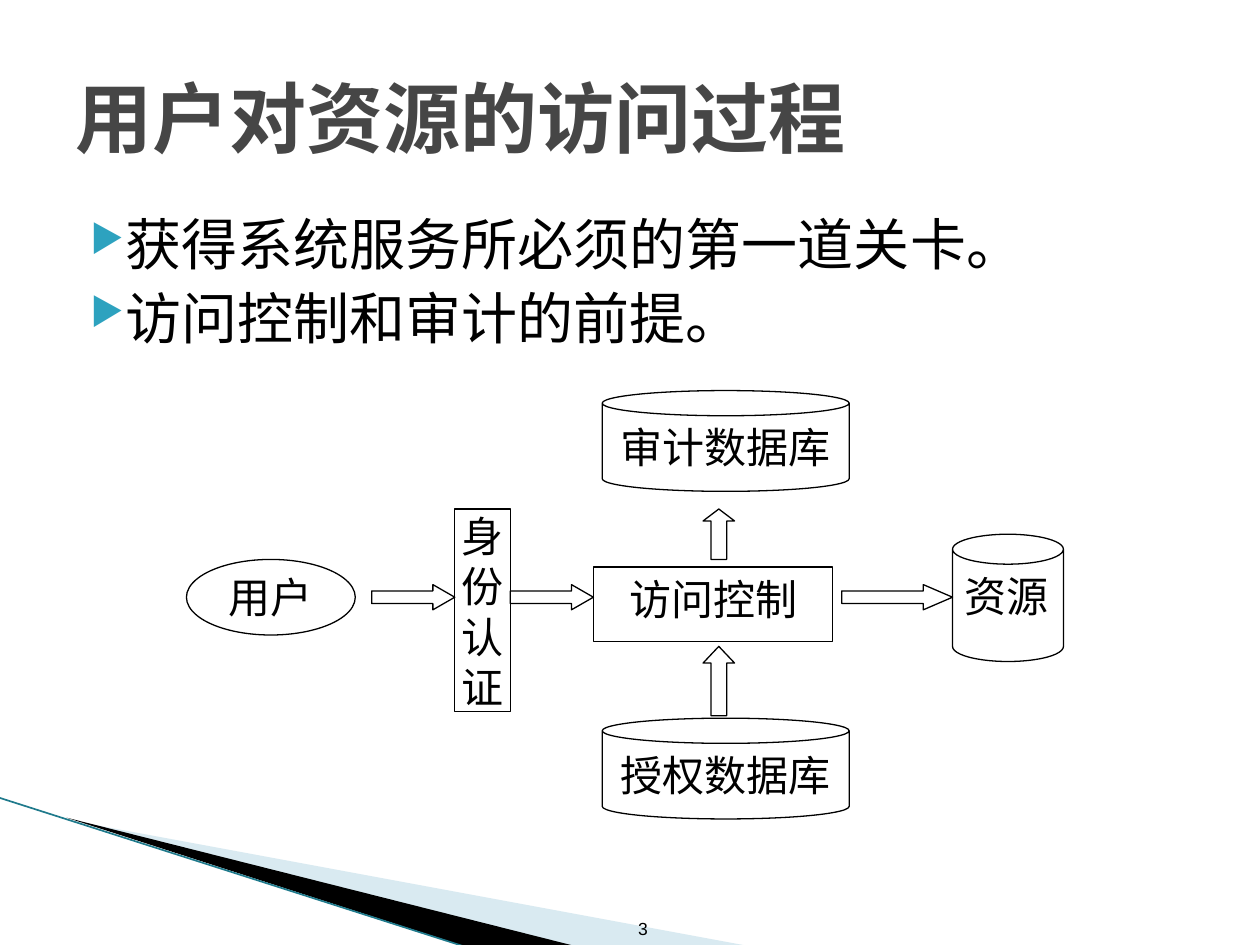
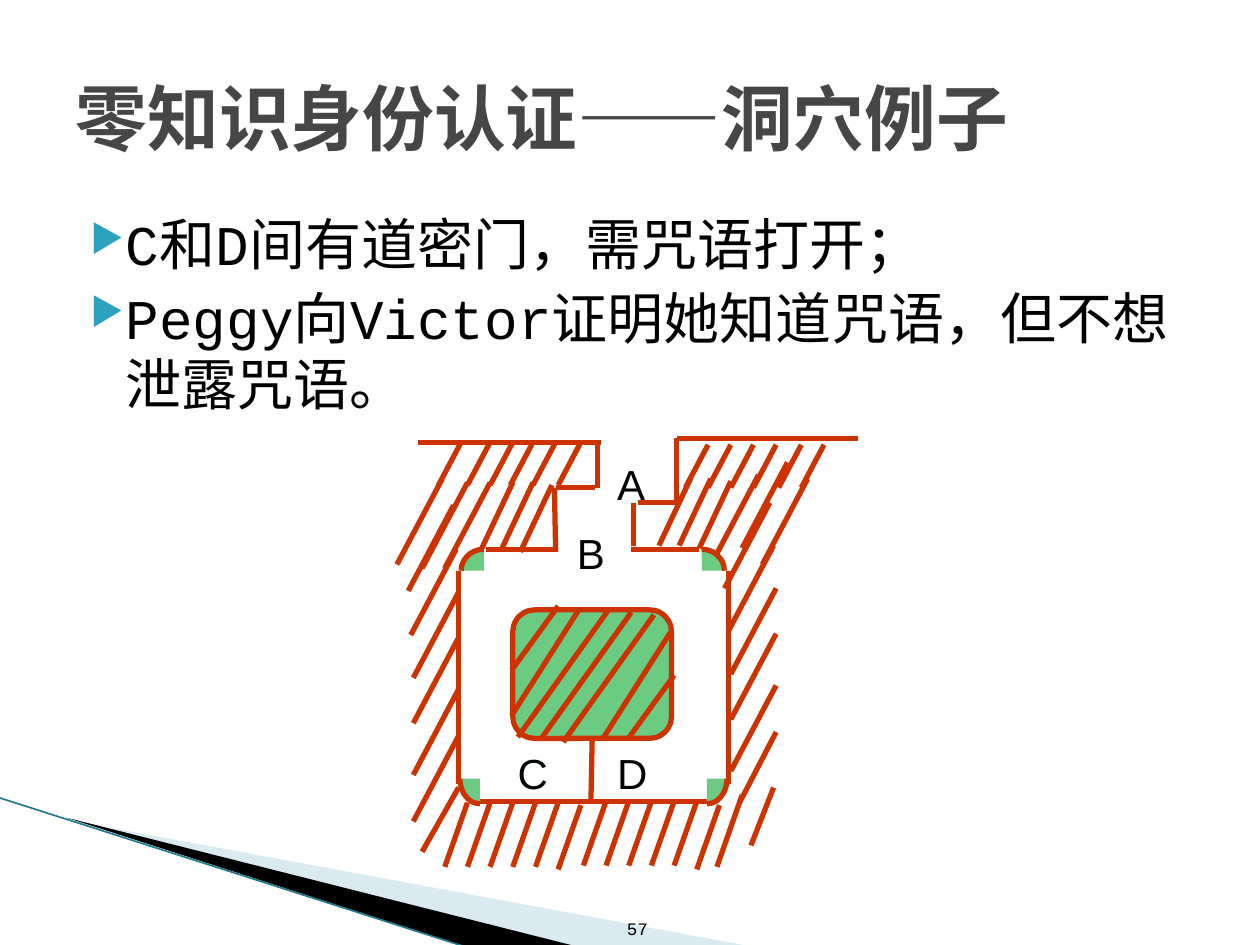
"""Builds two slides on access control and zero-knowledge identification."""
from lxml.etree import SubElement
from pptx import Presentation
from pptx.dml.color import RGBColor
from pptx.enum.shapes import MSO_CONNECTOR, MSO_SHAPE
from pptx.enum.text import MSO_ANCHOR, PP_ALIGN
from pptx.oxml.ns import qn
from pptx.util import Pt

PX = 9144
COLOURS = {
    "title": "464646", "text": "000000", "letter": "000404", "bullet": "2DA2BF",
    "wedge": "A0CBDC", "edge": "1F7A8C", "paper": "FFFFFF", "ink": "000000",
    "rock": "CC3300", "moss": "6BCB82",
}
SANS, MONO, SERIF, LATIN = "Noto Sans CJK SC", "Courier New", "Times New Roman", "Arial"

HATCHING = {
    (-36, 68): [(625, 367), (371, 383), (389, 383), (364, 470), (364, 547), (364, 506),
                (364, 584), (362, 436), (360, 401), (351, 380), (641, 380), (616, 467),
                (616, 544), (616, 503), (614, 433), (611, 399), (602, 377)],
    (-18, 51): [(371, 637), (389, 637), (407, 637), (425, 637), (443, 637), (461, 639),
                (481, 636), (499, 636), (517, 636), (535, 636), (553, 636), (571, 639)],
    (-25, 53): [(407, 383), (423, 383), (438, 385), (548, 380), (564, 380), (580, 382)],
    (-18, 34): [(366, 351), (389, 351), (407, 351), (423, 351), (441, 351), (461, 351),
                (562, 353), (580, 353), (598, 353), (616, 353), (636, 353), (654, 353)],
    (-29, 51): [(364, 625)],
    (-29, 56): [(616, 581)],
    (-20, 57): [(589, 631)],
    (-18, 46): [(614, 625)],
}
PILLAR_HATCHING = {
    (54, -85): [(406, 568), (478, 587)],
    (72, -101): [(411, 585), (429, 587), (447, 589)],
    (37, -51): [(406, 532), (498, 587)],
}
WALLS = [
    (332, 351, 477, 351), (537, 348, 681, 348), (474, 353, 474, 387),
    (472, 387, 441, 387), (440, 387, 441, 438), (503, 433, 503, 399),
    (506, 399, 537, 399), (537, 399, 537, 348), (562, 636, 400, 636),
    (555, 436, 501, 436), (578, 453, 578, 622), (380, 636, 542, 636),
    (386, 436, 441, 436), (364, 453, 364, 622),
]
CORNERS = [
    (557, 453, 18, 17, 270), (561, 618, 16, 20, 0),
    (381, 618, 16, 20, 90), (384, 453, 18, 17, 180),
]
LETTERS = [("A", 480, 359), ("B", 448, 414), ("C", 401, 588), ("D", 480, 588)]


class Painter:
    """Holds the deck style and draws on the current slide."""

    def __init__(self):
        self.deck = Presentation()
        self.deck.slide_width, self.deck.slide_height = 1000 * PX, 750 * PX
        self.page = None

    def start_slide(self, title, size, font, number, number_font):
        self.page = self.deck.slides.add_slide(self.deck.slide_layouts[5])
        self.wedge([(55, 651), (595, 751), (456, 751)], "wedge", 40)
        self.wedge([(53, 649), (457, 751), (372, 752)], "ink")
        self.line(-1, 633, 371, 752, "edge", 0.95)
        heading = self.page.shapes.title
        self.place(heading, 50, 30, 900, 125)
        heading.text_frame.vertical_anchor = MSO_ANCHOR.MIDDLE
        self.add_text(heading, title, size, font, "title", PP_ALIGN.LEFT, bold=True)
        footer = self.text_box(468, 701, 56, 49)
        footer.text_frame.vertical_anchor = MSO_ANCHOR.BOTTOM
        self.add_text(footer, number, 10, number_font, align=PP_ALIGN.RIGHT)

    def place(self, shape, left, top, width, height):
        shape.left, shape.top = left * PX, top * PX
        shape.width, shape.height = width * PX, height * PX

    def colour(self, name):
        return RGBColor.from_string(COLOURS[name])

    def paint(self, shape, fill, line, weight):
        shape.shadow.inherit = False
        if fill:
            shape.fill.solid()
            shape.fill.fore_color.rgb = self.colour(fill)
        else:
            shape.fill.background()
        if line:
            shape.line.color.rgb = self.colour(line)
            shape.line.width = Pt(weight)
        else:
            shape.line.fill.background()

    def add_text(self, box, text, size, font, colour="text", align=PP_ALIGN.CENTER,
                 bold=False, pitch=None, para=None):
        para = para or box.text_frame.paragraphs[0]
        para.alignment = align
        if pitch:
            para.line_spacing = Pt(pitch)
        span = para.add_run()
        span.text = text
        span.font.size, span.font.name, span.font.bold = Pt(size), font, bold
        span.font.color.rgb = self.colour(colour)
        SubElement(span.font._element, qn("a:ea")).set("typeface", SANS)

    def text_box(self, left, top, width, height):
        box = self.page.shapes.add_textbox(left * PX, top * PX, width * PX, height * PX)
        box.text_frame.word_wrap = True
        return box

    def bullets(self, lines):
        box = self.text_box(50, 162, 900, 495)
        frame = box.text_frame
        for index, text in enumerate(lines):
            para = frame.add_paragraph() if index else frame.paragraphs[0]
            self.add_text(box, text, 32, MONO, align=PP_ALIGN.LEFT, pitch=38, para=para)
            para.space_before = Pt(4)
            props = para._p.get_or_add_pPr()
            props.set("marL", str(40 * PX))
            props.set("indent", str(-28 * PX))
            tint = SubElement(props, qn("a:buClr"))
            SubElement(tint, qn("a:srgbClr")).set("val", COLOURS["bullet"])
            SubElement(props, qn("a:buSzPct")).set("val", "68000")
            SubElement(props, qn("a:buChar")).set("char", "▶")

    def shape(self, kind, left, top, width, height, adjust=(), fill="paper",
              line="ink", weight=0.75):
        shape = self.page.shapes.add_shape(
            kind, left * PX, top * PX, width * PX, height * PX)
        for index, value in enumerate(adjust):
            shape.adjustments[index] = value
        self.paint(shape, fill, line, weight)
        return shape

    def node(self, kind, place, text, font, inset=(10, 5), adjust=(), fill="paper",
             align=PP_ALIGN.CENTER):
        node = self.shape(kind, *place, adjust, fill)
        frame = node.text_frame
        frame.word_wrap = True
        frame.vertical_anchor = MSO_ANCHOR.TOP
        frame.margin_left = frame.margin_right = inset[0] * PX
        frame.margin_top = frame.margin_bottom = inset[1] * PX
        self.add_text(node, text, 24, font, align=align, pitch=28.8)

    def wedge(self, points, fill, opacity=100):
        start, *rest = [(x * PX, y * PX) for x, y in points]
        builder = self.page.shapes.build_freeform(*start)
        builder.add_line_segments(rest, close=True)
        wedge = builder.convert_to_shape()
        self.paint(wedge, fill, None, 0)
        if opacity < 100:
            tint = wedge._element.spPr.find(qn("a:solidFill"))[0]
            SubElement(tint, qn("a:alpha")).set("val", str(opacity * 1000))

    def line(self, x1, y1, x2, y2, colour="rock", weight=3):
        line = self.page.shapes.add_connector(
            MSO_CONNECTOR.STRAIGHT, x1 * PX, y1 * PX, x2 * PX, y2 * PX)
        line.line.color.rgb = self.colour(colour)
        line.line.width = Pt(weight)
        SubElement(line._element.spPr, qn("a:effectLst"))
        return line

    def hatch(self, strokes):
        for (dx, dy), starts in strokes.items():
            for x, y in starts:
                self.line(x, y, x + dx, y + dy)

    def corner(self, x, y, across, down, angle):
        sweep = [turn % 360 * 0.6 for turn in (angle, angle + 90)]
        self.shape(MSO_SHAPE.ARC, x - across, y - down, 2 * across, 2 * down,
                   sweep, "moss", "rock", 3)


def access_slide(painter):
    painter.start_slide("用户对资源的访问过程", 44, SANS, "3", LATIN)
    painter.bullets(["获得系统服务所必须的第一道关卡。", "访问控制和审计的前提。"])
    painter.node(MSO_SHAPE.RECTANGLE, (471, 450, 190, 59), "访问控制", SANS, (2, 5))
    painter.node(MSO_SHAPE.OVAL, (148, 444, 134, 60), "用户", SERIF, (10, 1))
    painter.node(MSO_SHAPE.RECTANGLE, (361, 404, 44, 161), "身份认证", SANS, (2, 1))
    painter.node(MSO_SHAPE.CAN, (756, 424, 88, 101), "资源", SERIF,
                 adjust=[0.27], align=PP_ALIGN.JUSTIFY)
    for left, width, head in [(295, 66, 0.87), (405, 66, 0.87), (668, 88, 1.16)]:
        painter.shape(MSO_SHAPE.RIGHT_ARROW, left, 464, width, 20, [0.5, head])
    for top, height, head in [(513, 55, 0.53), (404, 40, 0.38)]:
        painter.shape(MSO_SHAPE.UP_ARROW, 558, top, 25, height, [0.5, head])
    for text, top in [("授权数据库", 570), ("审计数据库", 310)]:
        painter.node(MSO_SHAPE.CAN, (478, top, 196, 80), text, SERIF,
                     adjust=[0.25], fill=None)


def cave_slide(painter):
    painter.start_slide("零知识身份认证——洞穴例子", 41, MONO, "57", MONO)
    painter.bullets(["C和D间有道密门，需咒语打开；",
                     "Peggy向Victor证明她知道咒语，但不想泄露咒语。"])
    painter.hatch(HATCHING)
    pillar = painter.shape(MSO_SHAPE.ROUNDED_RECTANGLE, 407, 484, 126, 102,
                           [0.17], "moss", "rock", 3)
    door = painter.line(470, 586, 469, 636)
    door.begin_connect(pillar, 2)
    for wall in WALLS:
        painter.line(*wall)
    for corner in CORNERS:
        painter.corner(*corner)
    painter.hatch(PILLAR_HATCHING)
    for letter, left, top in LETTERS:
        box = painter.text_box(left, top, 55, 40)
        painter.add_text(box, letter, 24, LATIN, "letter", PP_ALIGN.LEFT)


def main():
    painter = Painter()
    access_slide(painter)
    cave_slide(painter)
    painter.deck.save("out.pptx")


if __name__ == "__main__":
    main()
